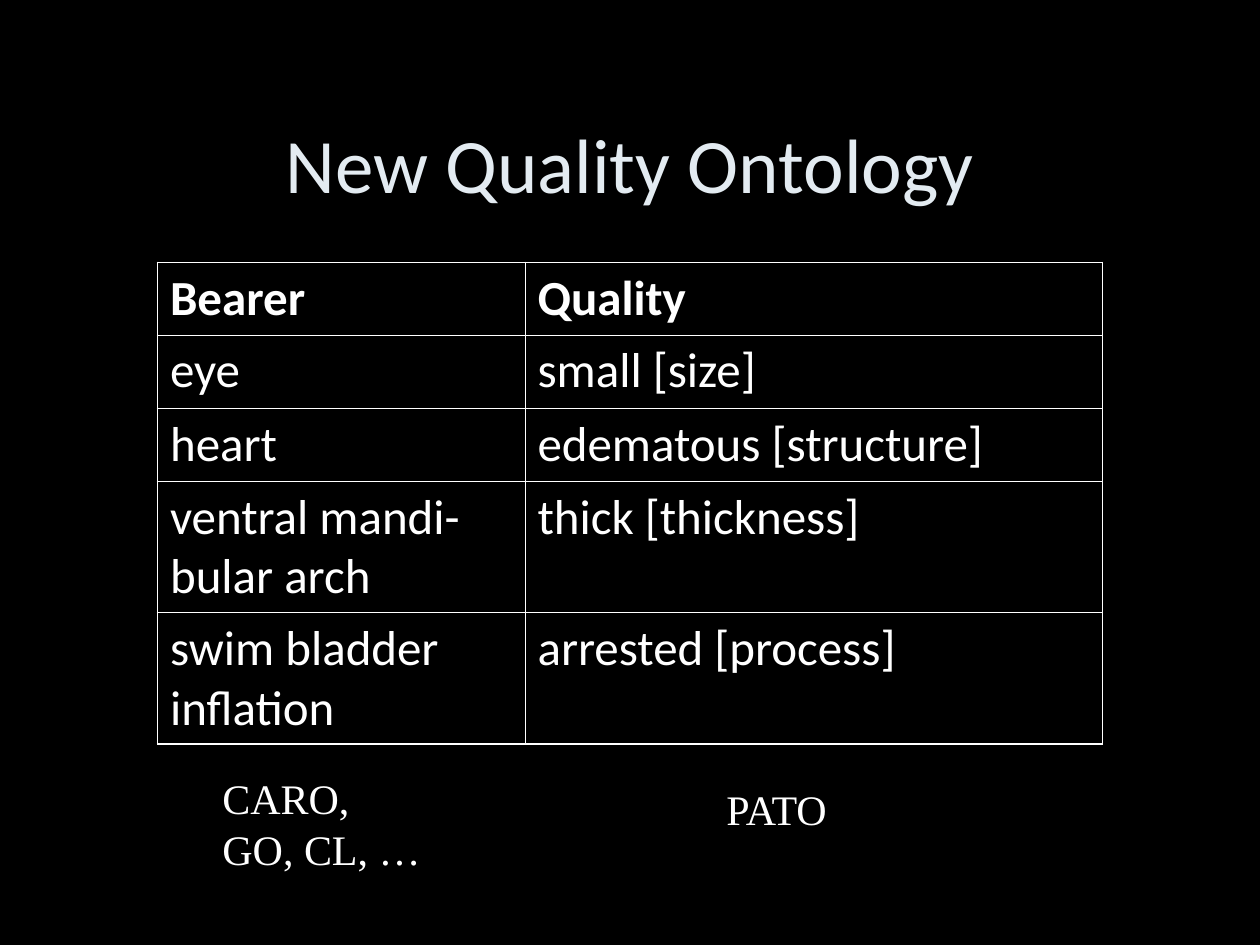
from dataclasses import dataclass

from pptx import Presentation
from pptx.dml.color import RGBColor
from pptx.enum.text import MSO_ANCHOR as Anchor, MSO_AUTO_SIZE as AutoSize, PP_ALIGN as Align
from pptx.oxml import parse_xml
from pptx.oxml.ns import nsdecls
from pptx.util import Pt


@dataclass(frozen=True)
class Theme:
    background: str = "000000"
    title_color: str = "E3EBF1"
    text_color: str = "FFFFFF"
    body_font: str = "Calibri"
    note_font: str = "Times New Roman"
    title_size: float = 44
    cell_size: float = 28
    note_size: float = 24
    outer_line: float = 1.08
    inner_line: float = 0.45


class Deck:
    def __init__(self, theme):
        self.theme = theme
        self.prs = Presentation()
        self.prs.slide_width, self.prs.slide_height = Pt(720), Pt(540)

    def add_slide(self):
        self.s = self.prs.slides.add_slide(self.prs.slide_layouts[6])
        fill = self.s.background.fill
        fill.solid()
        fill.fore_color.rgb = RGBColor.from_string(self.theme.background)

    def add_run(self, p, text, font, size, color, bold=False):
        r = p.add_run()
        r.text = text
        r.font.name, r.font.size, r.font.bold = font, Pt(size), bold
        r.font.color.rgb = RGBColor.from_string(color)

    def add_title(self, text, left, top, width, height):
        t = self.theme
        tf = self.s.shapes.add_textbox(Pt(left), Pt(top), Pt(width), Pt(height)).text_frame
        tf.word_wrap = True
        tf.vertical_anchor = Anchor.MIDDLE
        p = tf.paragraphs[0]
        p.alignment = Align.CENTER
        self.add_run(p, text, t.body_font, t.title_size, t.title_color)

    def add_note(self, lines, left, top, width, height):
        t = self.theme
        tf = self.s.shapes.add_textbox(Pt(left), Pt(top), Pt(width), Pt(height)).text_frame
        tf.word_wrap = False
        tf.auto_size = AutoSize.SHAPE_TO_FIT_TEXT
        for i, line in enumerate(lines):
            p = tf.add_paragraph() if i else tf.paragraphs[0]
            self.add_run(p, line, t.note_font, t.note_size, t.text_color)

    def set_borders(self, cell, outer):
        """Draw all four sides; outer maps each side to whether it is on the table's edge."""
        t = self.theme
        tc_pr = cell._tc.get_or_add_tcPr()
        for side, on_edge in outer.items():
            width = Pt(t.outer_line if on_edge else t.inner_line)
            tc_pr.append(parse_xml(
                f'<a:ln{side} {nsdecls("a")} w="{width}"><a:solidFill>'
                f'<a:srgbClr val="{t.text_color}"/></a:solidFill></a:ln{side}>'))

    def add_table(self, rows, left, top, col_widths, row_heights):
        t = self.theme
        n_rows, n_cols = len(rows), len(col_widths)
        table = self.s.shapes.add_table(
            n_rows, n_cols, Pt(left), Pt(top),
            Pt(sum(col_widths)), Pt(sum(row_heights))).table
        table.first_row = table.horz_banding = False
        for column, width in zip(table.columns, col_widths):
            column.width = Pt(width)
        for i, (row, height) in enumerate(zip(rows, row_heights)):
            table.rows[i].height = Pt(height)
            for j, text in enumerate(row):
                cell = table.cell(i, j)
                self.set_borders(cell, {"L": j == 0, "R": j == n_cols - 1,
                                        "T": i == 0, "B": i == n_rows - 1})
                cell.fill.background()
                self.add_run(cell.text_frame.paragraphs[0], text, t.body_font,
                             t.cell_size, t.text_color, bold=i == 0)


def main():
    deck = Deck(Theme())
    deck.add_slide()
    deck.add_title("New Quality Ontology", 54, 48, 612, 90)
    deck.add_table(
        [("Bearer", "Quality"),
         ("eye", "small [size]"),
         ("heart", "edematous [structure]"),
         ("ventral mandi-bular arch", "thick [thickness]"),
         ("swim bladder inflation", "arrested [process]")],
        90, 150, (210, 330), (41.4, 42.2, 41.4, 75.2, 75.2))
    deck.add_note(["CARO,", "GO, CL, …"], 120, 438, 127.5, 65)
    deck.add_note(["PATO"], 408, 444, 77, 36)
    deck.prs.save("out.pptx")


if __name__ == "__main__":
    main()
